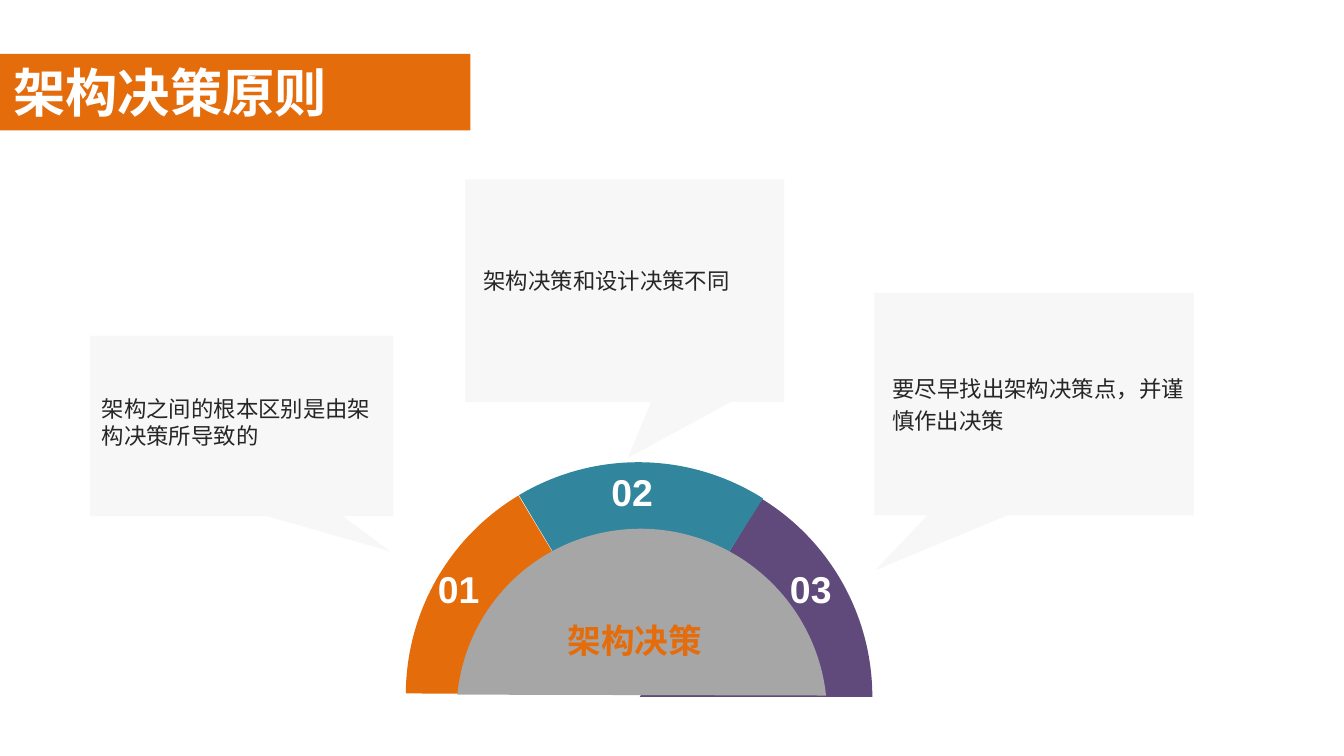
from dataclasses import dataclass

from lxml.etree import SubElement
from pptx import Presentation
from pptx.dml.color import RGBColor
from pptx.enum.shapes import MSO_SHAPE
from pptx.enum.text import MSO_ANCHOR, MSO_AUTO_SIZE, PP_ALIGN
from pptx.oxml.ns import qn
from pptx.shapes.autoshape import Shape
from pptx.slide import Slide
from pptx.util import Emu, Pt

PX = 4572
ORANGE, TEAL, PURPLE = "E46C0A", "31859C", "604A7B"
WHITE, GREY, PALE, INK = "FFFFFF", "A6A6A6", "F2F2F2", "262626"

Box = tuple[int, int, int, int]


@dataclass(frozen=True)
class Label:
    text: str
    box: Box
    size: int
    color: str
    font: str = "Arial"
    bold: bool = False
    align: PP_ALIGN = PP_ALIGN.LEFT
    spacing: float = 1.0


@dataclass(frozen=True)
class Callout:
    box: Box
    tip: tuple[float, float]
    label: Label


@dataclass(frozen=True)
class Sector:
    kind: MSO_SHAPE
    box: Box
    rotation: float
    start: float
    end: float
    color: str


CALLOUTS = [
    Callout((1301, 436, 475, 331), (-0.496, 0.746),
            Label("要尽早找出架构决策点，并谨慎作出决策", (1308, 540, 474, 162), 12, INK,
                  align=PP_ALIGN.JUSTIFY, spacing=1.2)),
    Callout((692, 267, 475, 331), (0.01, 0.753),
            Label("架构决策和设计决策不同", (700, 388, 474, 60), 12, INK)),
    Callout((134, 500, 451, 268), (0.491, 0.696),
            Label("架构之间的根本区别是由架构决策所导致的", (132, 578, 452, 82), 12, INK)),
]
SECTORS = [
    Sector(MSO_SHAPE.PIE, (606, 691, 692, 692), 90, 211.64, 270, PURPLE),
    Sector(MSO_SHAPE.PIE, (604, 688, 692, 692), 45, 194.12, 257.4, TEAL),
    Sector(MSO_SHAPE.PIE, (604, 688, 692, 692), 341.8, 198.53, 257.15, ORANGE),
    Sector(MSO_SHAPE.CHORD, (680, 786, 550, 554), 140.2, 45.89, 213.98, GREY),
]
TITLE = Label("架构决策原则", (0, 80, 700, 114), 28, WHITE, "Calibri", True)
CENTER = Label("架构决策", (825, 913, 248, 80), 18, ORANGE, "Calibri", True)
NUMBERS = [
    Label(f"{index:02d}", (left, top, 114, 88), 20, WHITE, bold=True)
    for index, (left, top) in enumerate([(632, 833), (890, 688), (1156, 833)], 1)
]


def rgb(color: str) -> RGBColor:
    """Turn a hex string into a colour."""
    return RGBColor.from_string(color)


def place(box: Box) -> list[Emu]:
    """Scale a box from px to EMU."""
    return [Emu(length * PX) for length in box]


def write(shape: Shape, label: Label) -> None:
    """Put the formatted label text into a shape."""
    frame = shape.text_frame
    frame.word_wrap = True
    frame.auto_size = MSO_AUTO_SIZE.NONE
    paragraph = frame.paragraphs[0]
    paragraph.text = label.text
    paragraph.alignment = label.align
    paragraph.line_spacing = label.spacing
    paragraph.font.name = label.font
    paragraph.font.size = Pt(label.size)
    paragraph.font.bold = label.bold
    paragraph.font.color.rgb = rgb(label.color)


def add_label(page: Slide, label: Label) -> None:
    """Add a text box for a label."""
    write(page.shapes.add_textbox(*place(label.box)), label)


def add_filled(page: Slide, kind: MSO_SHAPE, box: Box, color: str) -> Shape:
    """Add a plain filled shape without outline or shadow."""
    shape = page.shapes.add_shape(kind, *place(box))
    shape.shadow.inherit = False
    shape.fill.solid()
    shape.fill.fore_color.rgb = rgb(color)
    shape.line.fill.background()
    return shape


def add_callout(page: Slide, callout: Callout) -> None:
    """Add a translucent speech box and its text."""
    shape = add_filled(page, MSO_SHAPE.RECTANGULAR_CALLOUT, callout.box, PALE)
    shape.adjustments[0], shape.adjustments[1] = callout.tip
    solid = shape.element.spPr.find(qn("a:solidFill"))
    SubElement(solid[0], qn("a:alpha"), val="60000")
    add_label(page, callout.label)


def add_sector(page: Slide, sector: Sector) -> None:
    """Add a pie or chord between two angles in degrees."""
    shape = add_filled(page, sector.kind, sector.box, sector.color)
    shape.adjustments[0] = sector.start * 0.6
    shape.adjustments[1] = sector.end * 0.6
    shape.rotation = sector.rotation


def add_title(page: Slide) -> None:
    """Turn the title placeholder into the heading bar."""
    title = page.shapes.title
    title.left, title.top, title.width, title.height = place(TITLE.box)
    title.fill.solid()
    title.fill.fore_color.rgb = rgb(ORANGE)
    write(title, TITLE)
    title.text_frame.vertical_anchor = MSO_ANCHOR.MIDDLE


def main() -> None:
    """Build the slide and save it."""
    deck = Presentation()
    deck.slide_width, deck.slide_height = Emu(2000 * PX), Emu(1125 * PX)
    page = deck.slides.add_slide(deck.slide_layouts[5])
    add_title(page)
    for callout in CALLOUTS:
        add_callout(page, callout)
    for sector in SECTORS:
        add_sector(page, sector)
    for label in [CENTER, *NUMBERS]:
        add_label(page, label)
    deck.save("out.pptx")


if __name__ == "__main__":
    main()
